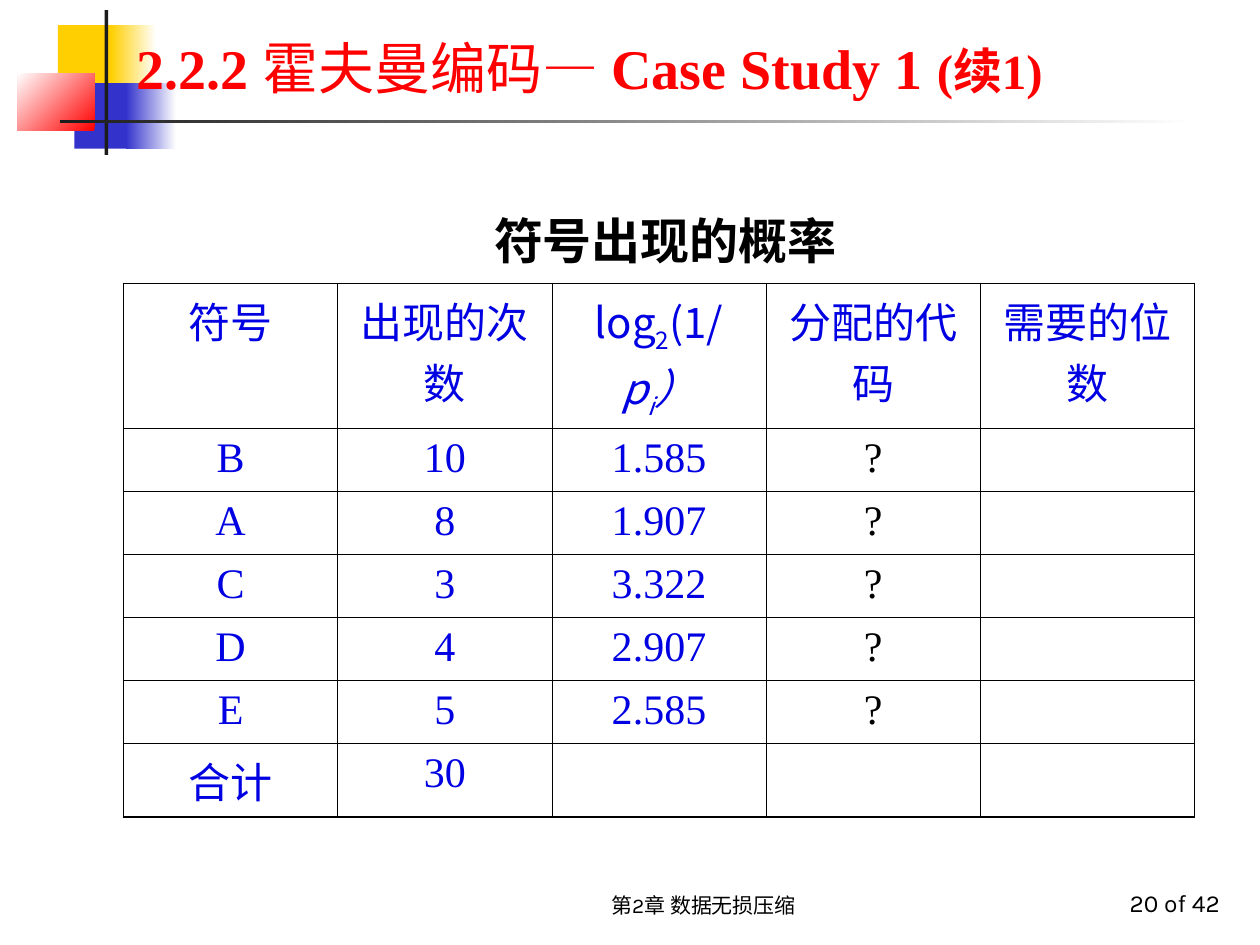
from pptx import Presentation
from pptx.dml.color import RGBColor
from pptx.enum.shapes import MSO_SHAPE as Shape
from pptx.enum.text import MSO_ANCHOR as Anchor, MSO_AUTO_SIZE as Fit, PP_ALIGN as Align
from pptx.oxml import parse_xml
from pptx.oxml.ns import nsdecls
from pptx.util import Inches, Pt

TIMES, SANS, KARLA = "Times New Roman", "Noto Sans CJK SC", "Karla"
BLACK, WHITE, RED, BLUE = "000000", "FFFFFF", "FF0000", "0000E2"
YELLOW, INDIGO, DARK = "FFCF01", "3333CC", "1C1C1C"

DECOR = [
    ((0.46, 0.2, 0.48, 0.52), [YELLOW], 0),
    ((0.88, 0.2, 0.36, 0.52), [WHITE, YELLOW], 180),
    ((0.59, 0.66, 0.46, 0.52), [INDIGO], 0),
    ((1, 0.66, 0.4, 0.52), [WHITE, INDIGO], 180),
    ((0.14, 0.58, 0.61, 0.46), [RED, WHITE], 135),
    ((0.83, 0.08, 0.03, 1.15), [DARK], 0),
    ((0.48, 0.95, 9, 0.03), [WHITE, DARK], 180),
]
TITLE = [("2.2.2 ", 32, True), ("霍夫曼编码— ", 32, False),
         ("Case Study 1 ", 32, True), ("(续1)", 28, True)]
LABELS = [
    ((4, 6.83, 3.17, 0.5), "第2章 数据无损压缩", 12, KARLA, False, Align.CENTER, Anchor.BOTTOM),
    ((3.27, 1.62, 4.02, 0.57), "符号出现的概率", 28, "Arial", True, Align.CENTER, Anchor.TOP),
    ((7.7, 6.83, 2.08, 0.5), "20 of 42", 14, KARLA, False, Align.RIGHT, Anchor.BOTTOM),
]
LOG_HEAD = [("log", False, False), ("2", False, True), ("(1/", False, False),
            ("p", True, False), ("i", True, True), ("）", True, False)]
ROWS = [
    ["符号", "出现的次数", LOG_HEAD, "分配的代码", "需要的位数"],
    ["B", "10", "1.585", "?", ""],
    ["A", "8", "1.907", "?", ""],
    ["C", "3", "3.322", "?", ""],
    ["D", "4", "2.907", "?", ""],
    ["E", "5", "2.585", "?", ""],
    ["合计", "30", "", "", ""],
]
HEAD_H, ROW_H, COL_W = 1.01, 0.5, 1.7
THIN, THICK = 0.45, 1.08


def rgb(color):
    return RGBColor.from_string(color)


def box(lengths):
    return [Inches(v) for v in lengths]


def add_run(p, text, size, font, color, bold=False, italic=False, sub=False):
    r = p.add_run()
    r.text = text
    r.font.size, r.font.name = Pt(size), font
    r.font.bold, r.font.italic = bold, italic
    r.font.color.rgb = rgb(color)
    rpr = r.font._element
    rpr.find("{*}latin").addnext(parse_xml(f'<a:ea {nsdecls("a")} typeface="{SANS}"/>'))
    if sub:
        rpr.set("baseline", "-25000")


def add_decor(s, at, colors, angle):
    sp = s.shapes.add_shape(Shape.RECTANGLE, *box(at))
    sp.shadow.inherit = False
    sp.line.fill.background()
    if len(colors) == 1:
        sp.fill.solid()
        sp.fill.fore_color.rgb = rgb(colors[0])
        return
    sp.fill.gradient()
    sp.fill.gradient_angle = angle
    for stop, color in zip(sp.fill.gradient_stops, colors):
        stop.color.rgb = rgb(color)


def add_title(s):
    sp = s.shapes.title
    s.shapes._spTree.append(sp._element)
    sp.left, sp.top, sp.width, sp.height = box((0.98, 0, 8.52, 0.85))
    tf = sp.text_frame
    tf.vertical_anchor, tf.word_wrap, tf.auto_size = Anchor.BOTTOM, True, Fit.NONE
    p = tf.paragraphs[0]
    p.alignment = Align.LEFT
    for text, size, bold in TITLE:
        add_run(p, text, size, TIMES, RED, bold)


def add_label(s, at, text, size, font, bold, align, anchor):
    tf = s.shapes.add_textbox(*box(at)).text_frame
    tf.word_wrap, tf.vertical_anchor = True, anchor
    p = tf.paragraphs[0]
    p.alignment = align
    add_run(p, text, size, font, BLACK, bold)


def set_borders(cell, outer):
    tcPr = cell._tc.get_or_add_tcPr()
    for i, (side, edge) in enumerate(zip("LRTB", outer)):
        width = Pt(THICK if edge else THIN)
        tcPr.insert(i, parse_xml(
            f'<a:ln{side} {nsdecls("a")} w="{width}"><a:solidFill>'
            f'<a:srgbClr val="{BLACK}"/></a:solidFill></a:ln{side}>'))


def add_grid(s):
    n, m = len(ROWS), len(ROWS[0])
    at = (0.98, 2.25, COL_W * m, HEAD_H + ROW_H * (n - 1))
    table = s.shapes.add_table(n, m, *box(at)).table
    table.first_row = table.horz_banding = False
    for col in table.columns:
        col.width = Inches(COL_W)
    for i, row in enumerate(ROWS):
        table.rows[i].height = Inches(ROW_H if i else HEAD_H)
        for j, content in enumerate(row):
            cell = table.cell(i, j)
            cell.fill.background()
            set_borders(cell, (j == 0, j == m - 1, i == 0, i == n - 1))
            p = cell.text_frame.paragraphs[0]
            p.alignment = Align.CENTER
            runs = [(content, False, False)] if isinstance(content, str) else content
            for text, italic, sub in runs:
                if text:
                    add_run(p, text, 24, TIMES if i else SANS,
                            BLACK if text == "?" else BLUE, italic=italic, sub=sub)


def main():
    prs = Presentation()
    prs.slide_width, prs.slide_height = Inches(10), Inches(7.5)
    s = prs.slides.add_slide(prs.slide_layouts[5])
    for item in DECOR:
        add_decor(s, *item)
    add_title(s)
    add_grid(s)
    for item in LABELS:
        add_label(s, *item)
    prs.save("out.pptx")


if __name__ == "__main__":
    main()
